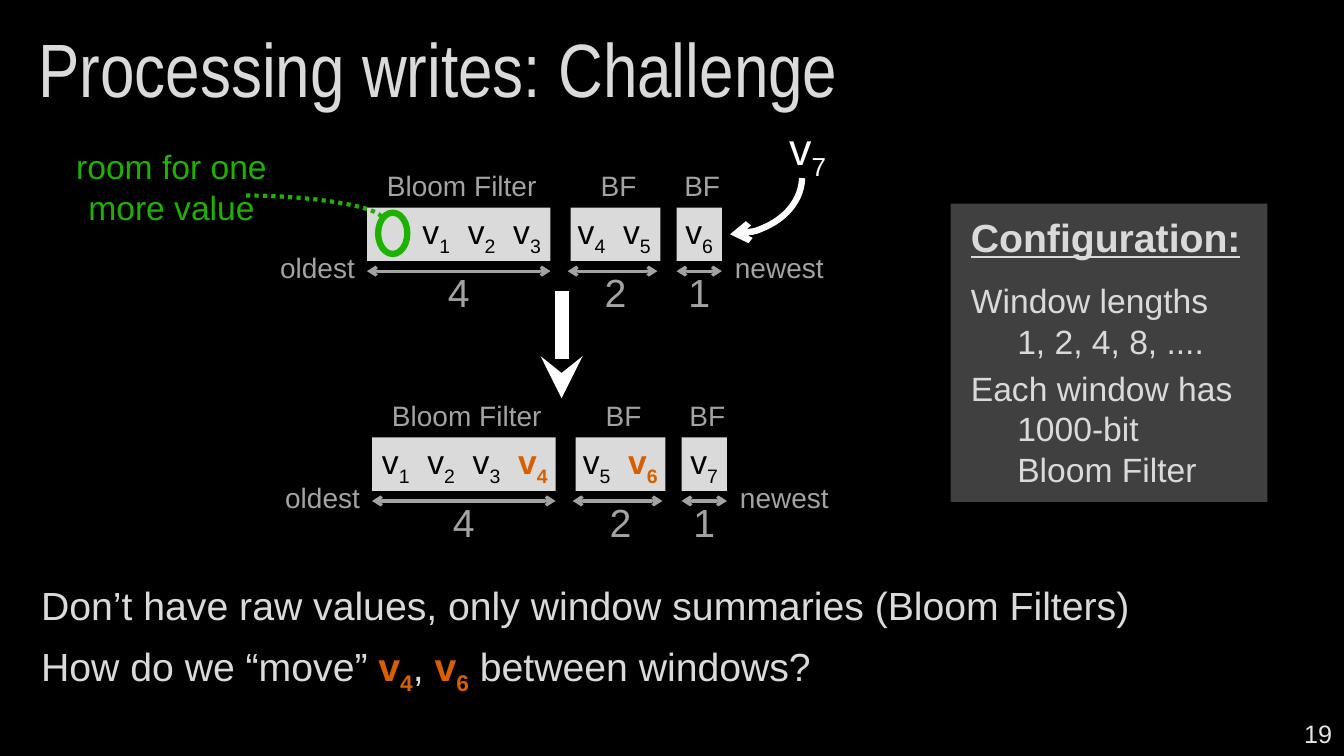
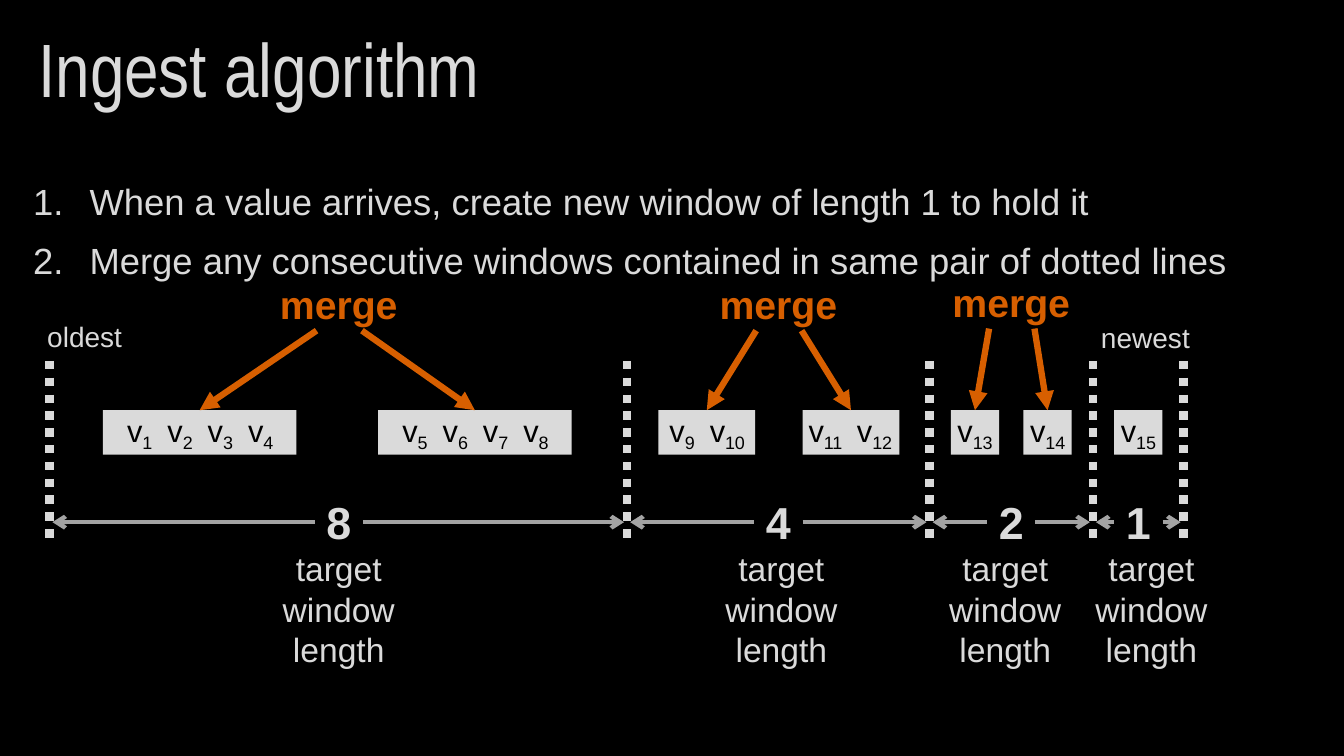
from lxml import etree
from pptx import Presentation, util as u
from pptx.dml.color import RGBColor
from pptx.enum import dml, shapes, text
from pptx.oxml.ns import qn

COLORS = {
    "background": "000000", "text": "DADADA", "muted": "A3A3A3", "panel": "404040",
    "moved": "D75F00", "room": "1DB100", "white": "FFFFFF", "number": "E4E4E4",
    "value": "000000",
}
LEFT, CENTER, RIGHT = text.PP_ALIGN.LEFT, text.PP_ALIGN.CENTER, text.PP_ALIGN.RIGHT
MIDDLE = text.MSO_ANCHOR.MIDDLE

MOVED = {4, 6}
CHALLENGE_WINDOWS = [
    {"length": 4, "label": "Bloom Filter", "x": 3.64, "width": 1.82, "arrow_x": 3.64, "inset": 0.1},
    {"length": 2, "label": "BF", "x": 5.66, "width": 0.89, "arrow_x": 5.63, "inset": 0.07},
    {"length": 1, "label": "BF", "x": 6.71, "width": 0.45, "arrow_x": 6.71, "inset": 0},
]
CHALLENGE_ROWS = [
    {"dx": 0, "dy": 0, "windows": [[1, 2, 3], [4, 5], [6]], "moved": set()},
    {"dx": 0.05, "dy": 2.28, "windows": [[1, 2, 3, 4], [5, 6], [7]], "moved": MOVED},
]
CHALLENGE_NOTES = [
    ["Don’t have raw values, only window summaries (Bloom Filters)"],
    ["How do we “move” ", 4, ", ", 6, " between windows?"],
]
CONFIGURATION = [
    ("Window lengths", 0, 14), ("1, 2, 4, 8, ....", 0.46, 0),
    ("Each window has", 0, 5), ("1000-bit", 0.46, 0), ("Bloom Filter", 0.46, 0),
]
INGEST_STEPS = [
    ["When a value arrives, create new window of length 1 to hold it"],
    ["Merge any consecutive windows contained in same pair of dotted lines"],
]
DIVIDERS = [0.49, 6.22, 9.22, 10.84, 11.74]
TARGETS = [
    {"length": 8, "center": 3.36, "caption": 3.36, "merge_y": 2.73, "windows": [
        {"values": [1, 2, 3, 4], "x": 1.02, "inset": 0.24, "pitch": 0.4},
        {"values": [5, 6, 7, 8], "x": 3.75, "inset": 0.24, "pitch": 0.4}]},
    {"length": 4, "center": 7.72, "caption": 7.75, "merge_y": 2.73, "windows": [
        {"values": [9, 10], "x": 6.53, "inset": 0.11, "pitch": 0.4},
        {"values": [11, 12], "x": 7.96, "inset": 0.06, "pitch": 0.48}]},
    {"length": 2, "center": 10.03, "caption": 9.97, "merge_y": 2.71, "windows": [
        {"values": [13], "x": 9.43}, {"values": [14], "x": 10.15}]},
    {"length": 1, "center": 11.29, "caption": 11.42, "windows": [
        {"values": [15], "x": 11.05}]},
]


def rgb(name):
    return RGBColor.from_string(COLORS[name])


def inches(*lengths):
    return [u.Inches(length) for length in lengths]


def style(paragraph, size, color, align=LEFT, bold=None, font="Arial"):
    paragraph.alignment = align
    paragraph.font.name = font
    paragraph.font.size = u.Pt(size)
    paragraph.font.bold = bold
    paragraph.font.color.rgb = rgb(color)


def write_pieces(paragraph, pieces, moved=()):
    for piece in pieces:
        is_value = isinstance(piece, int)
        for part in ("v", str(piece)) if is_value else (piece,):
            run = paragraph.add_run()
            run.text = part
            if piece in moved:
                run.font.bold = True
                run.font.color.rgb = rgb("moved")
            if is_value and part != "v":
                run._r.get_or_add_rPr().set("baseline", "-25000")


def add_text(slide, at, lines, size, color, align=LEFT, bold=None, wrap=False, anchor=None):
    frame = slide.shapes.add_textbox(*inches(*at)).text_frame
    frame.word_wrap = wrap
    if anchor is not None:
        frame.vertical_anchor = anchor
    for index, line in enumerate(lines):
        paragraph = frame.paragraphs[0] if index == 0 else frame.add_paragraph()
        write_pieces(paragraph, line if isinstance(line, list) else [line], MOVED)
        style(paragraph, size, color, align, bold)
    return frame


def add_centered(slide, center, y, lines, size, color, bold=None):
    add_text(slide, (center - 0.9, y, 1.8, 0.57), lines, size, color, CENTER, bold)


def add_box(slide, kind, at, fill=None):
    box = slide.shapes.add_shape(kind, *inches(*at))
    box.shadow.inherit = False
    box.line.fill.background()
    if fill:
        box.fill.solid()
        box.fill.fore_color.rgb = rgb(fill)
    else:
        box.fill.background()
    return box


def set_line(shape, color, width, dash=None, head=None, tail=None):
    shape.line.color.rgb = rgb(color)
    shape.line.width = u.Pt(width)
    if dash:
        shape.line.dash_style = dash
    outline = shape.element.spPr.get_or_add_ln()
    for end, arrow in (("a:headEnd", head), ("a:tailEnd", tail)):
        if arrow:
            etree.SubElement(outline, qn(end), type=arrow)


def add_line(slide, start, end, color, width, kind=shapes.MSO_CONNECTOR.STRAIGHT, **ends):
    line = slide.shapes.add_connector(kind, *inches(*start, *end))
    set_line(line, color, width, **ends)
    etree.SubElement(line.element.spPr, qn("a:effectLst"))
    return line


def add_window(slide, at, values, size, inset=0, pitch=0, moved=()):
    frame = add_box(slide, shapes.MSO_SHAPE.RECTANGLE, at, "text").text_frame
    frame.margin_left = u.Inches(inset)
    frame.margin_right = frame.margin_top = frame.margin_bottom = 0
    frame.vertical_anchor = MIDDLE
    frame.word_wrap = True
    paragraph = frame.paragraphs[0]
    pieces = [values[0]]
    if len(values) > 1:
        tabs = etree.SubElement(paragraph._p.get_or_add_pPr(), qn("a:tabLst"))
        for index, value in enumerate(values[1:], 1):
            etree.SubElement(tabs, qn("a:tab"), pos=str(u.Inches(index * pitch)), algn="l")
            pieces += ["\t", value]
    write_pieces(paragraph, pieces, moved)
    style(paragraph, size, "value", LEFT if len(values) > 1 else CENTER)


def add_titled_slide(prs, title):
    slide = prs.slides.add_slide(prs.slide_layouts[5])
    heading = slide.shapes.title
    heading.left, heading.top, heading.width, heading.height = inches(0.28, 0, 12.8, 1.45)
    frame = heading.text_frame
    frame.text = title
    frame.vertical_anchor = MIDDLE
    frame.paragraphs[0].line_spacing = 0.9
    style(frame.paragraphs[0], 54, "text", font="Arial Narrow")
    return slide


def add_configuration(slide):
    panel = add_box(slide, shapes.MSO_SHAPE.RECTANGLE, (9.43, 2.02, 3.14, 2.96), "panel")
    frame = panel.text_frame
    frame.margin_left = frame.margin_right = u.Inches(0.2)
    frame.margin_top = frame.margin_bottom = u.Inches(0.1)
    frame.vertical_anchor = text.MSO_ANCHOR.TOP
    frame.word_wrap = False
    heading = frame.paragraphs[0]
    heading.text = "Configuration:"
    style(heading, 28, "text", bold=True)
    heading.font.underline = True
    for line, indent, before in CONFIGURATION:
        paragraph = frame.add_paragraph()
        paragraph.text = line
        paragraph._p.get_or_add_pPr().set("marL", str(u.Inches(indent)))
        paragraph.space_before = u.Pt(before)
        style(paragraph, 24, "text")


def add_window_row(slide, row):
    dx, dy, pitch = row["dx"], row["dy"], 0.45
    for window, values in zip(CHALLENGE_WINDOWS, row["windows"]):
        x, width, arrow_x = window["x"] + dx, window["width"], window["arrow_x"] + dx
        center = x + width / 2
        free_slots = window["length"] - len(values)
        add_window(slide, (x, 2.06 + dy, width, 0.53), values, 24,
                   window["inset"] + free_slots * pitch, pitch, row["moved"])
        add_line(slide, (arrow_x, 2.69 + dy), (arrow_x + width, 2.69 + dy), "muted", 2.25,
                 head="arrow", tail="arrow")
        add_centered(slide, center, 2.61 + dy, [str(window["length"])], 28, "muted")
        add_centered(slide, center + 0.03, 1.62 + dy, [window["label"]], 20, "muted")
    add_text(slide, (2.68 + dx, 2.44 + dy, 1.03, 0.44), ["oldest"], 20, "muted")
    add_text(slide, (7.11 + dx, 2.44 + dy, 1.16, 0.44), ["newest"], 20, "muted", RIGHT)


def build_challenge(prs):
    slide = add_titled_slide(prs, "Processing writes: Challenge")
    notes = add_text(slide, (0.31, 5.72, 12.77, 1.33), CHALLENGE_NOTES, 28, "text", wrap=True)
    notes.paragraphs[1].space_before = u.Pt(10)
    add_text(slide, (10.31, 7.08, 3, 0.4), ["19"], 18, "number", RIGHT, wrap=True, anchor=MIDDLE)
    add_configuration(slide)
    for row in CHALLENGE_ROWS:
        add_window_row(slide, row)
    add_line(slide, (5.57, 2.89), (5.57, 3.95), "white", 10, tail="stealth")

    arrival = add_box(slide, shapes.MSO_SHAPE.ARC, (6.67, 1.04, 1.14, 1.43))
    arrival.rotation = 90
    arrival.adjustments[0] = 162.59
    set_line(arrival, "white", 4.5, tail="arrow")
    add_text(slide, (7.71, 1.15, 0.6, 0.64), [[7]], 32, "white", CENTER)

    free_slot = add_box(slide, shapes.MSO_SHAPE.OVAL, (3.75, 2.11, 0.29, 0.41))
    set_line(free_slot, "room", 4.5)
    add_text(slide, (0.59, 1.4, 2.22, 0.91), ["room for one", "more value"], 24, "room", CENTER)
    pointer = add_line(slide, (2.44, 1.94), (3.79, 2.17), "room", 3,
                       shapes.MSO_CONNECTOR.CURVE, dash=dml.MSO_LINE.ROUND_DOT)
    pointer.element.spPr.find(qn("a:prstGeom")).set("prst", "curvedConnector2")


def add_target(slide, target, start, end):
    center, arrow_y, label_half = target["center"], 5.18, 0.24
    add_centered(slide, center, 4.86, [str(target["length"])], 32, "text", True)
    add_line(slide, (start + 0.03, arrow_y), (center - label_half, arrow_y), "muted", 3, head="arrow")
    add_line(slide, (center + label_half, arrow_y), (end - 0.03, arrow_y), "muted", 3, tail="arrow")
    add_centered(slide, target["caption"], 5.39, ["target", "window", "length"], 24, "text")
    for window in target["windows"]:
        add_window(slide, (window["x"], 4.07, 0.48 * len(window["values"]), 0.44),
                   window["values"], 22, window.get("inset", 0), window.get("pitch", 0))
    if "merge_y" in target:
        merge_y = target["merge_y"]
        add_centered(slide, center, merge_y, ["merge"], 28, "moved", True)
        for window, side in zip(target["windows"], (-0.22, 0.23)):
            window_center = window["x"] + 0.24 * len(window["values"])
            add_line(slide, (center + side, merge_y + 0.55), (window_center, 4.07),
                     "moved", 4.5, tail="triangle")


def build_ingest(prs):
    slide = add_titled_slide(prs, "Ingest algorithm")
    for x in DIVIDERS:
        add_line(slide, (x, 3.58), (x, 5.36), "text", 6, dash=dml.MSO_LINE.ROUND_DOT)
    for target, start, end in zip(TARGETS, DIVIDERS, DIVIDERS[1:]):
        add_target(slide, target, start, end)
    frame = slide.shapes.add_textbox(*inches(0.23, 1.73, 12.88, 1.2)).text_frame
    frame.word_wrap = True
    for index, step in enumerate(INGEST_STEPS):
        paragraph = frame.add_paragraph() if index else frame.paragraphs[0]
        write_pieces(paragraph, step)
        properties = paragraph._p.get_or_add_pPr()
        properties.set("marL", str(u.Inches(0.56)))
        properties.set("indent", str(u.Inches(-0.56)))
        etree.SubElement(properties, qn("a:buFont"), typeface="+mj-lt")
        etree.SubElement(properties, qn("a:buAutoNum"), type="arabicPeriod")
        if index:
            paragraph.space_before = u.Pt(11)
        style(paragraph, 26, "text")
    add_text(slide, (0.37, 3.12, 1.01, 0.44), ["oldest"], 20, "text")
    add_text(slide, (10.75, 3.13, 1.15, 0.44), ["newest"], 20, "text", RIGHT)


def main():
    prs = Presentation()
    prs.slide_width, prs.slide_height = inches(13.33, 7.5)
    backdrop = prs.slide_master.background.fill
    backdrop.solid()
    backdrop.fore_color.rgb = rgb("background")
    build_challenge(prs)
    build_ingest(prs)
    prs.save("out.pptx")


if __name__ == "__main__":
    main()
